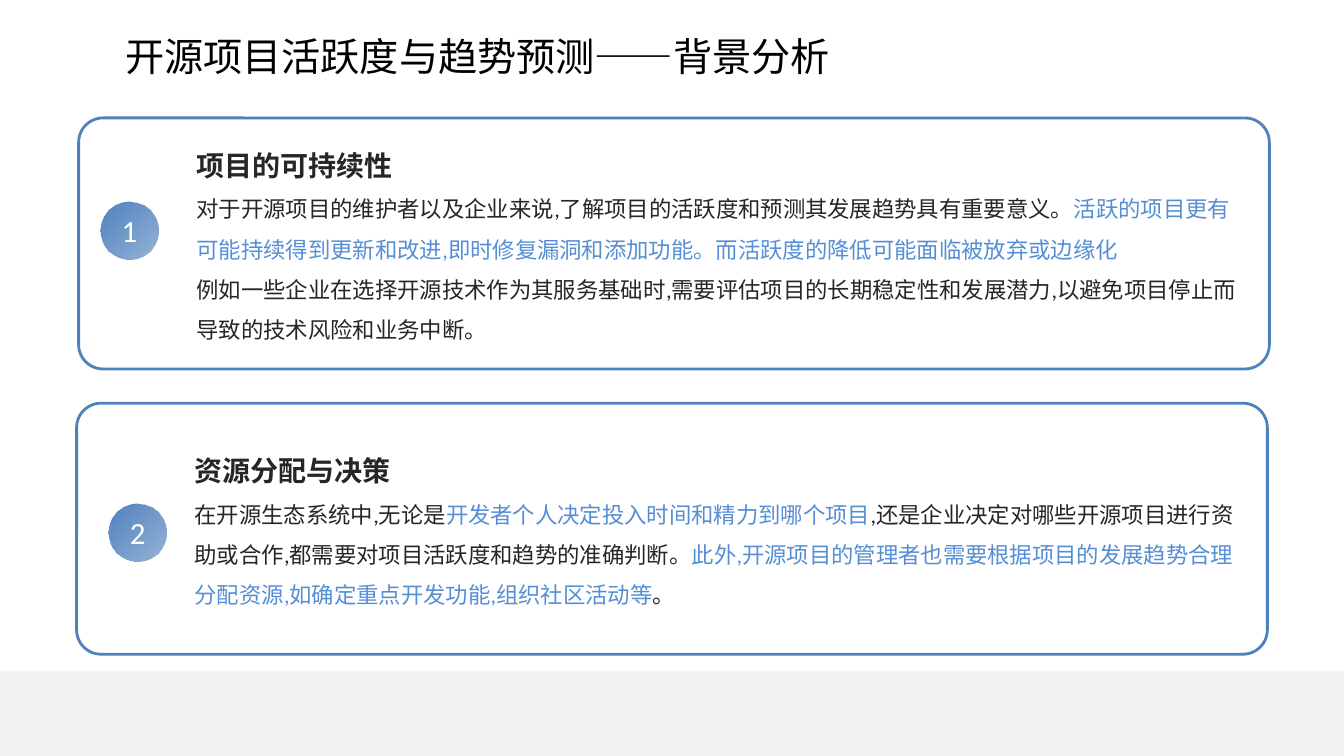
from dataclasses import dataclass

from lxml import etree
from pptx import Presentation
from pptx.dml.color import RGBColor
from pptx.enum.shapes import MSO_SHAPE
from pptx.enum.text import MSO_ANCHOR, MSO_AUTO_SIZE, PP_ALIGN
from pptx.oxml.ns import qn
from pptx.util import Pt

RECT, ROUND, OVAL = MSO_SHAPE.RECTANGLE, MSO_SHAPE.ROUNDED_RECTANGLE, MSO_SHAPE.OVAL
LEFT, CENTER, MIDDLE = PP_ALIGN.LEFT, PP_ALIGN.CENTER, MSO_ANCHOR.MIDDLE
FIXED = MSO_AUTO_SIZE.NONE
SCALE = 9144  # EMU per px, 100 px to the inch


@dataclass(frozen=True)
class Theme:
    white: str = "FFFFFF"
    black: str = "000000"
    ink: str = "262626"
    blue: str = "4F81BD"
    light: str = "558ED5"
    gray: str = "F1F1F1"
    latin: str = "Calibri"
    asian: str = "Noto Sans CJK SC"
    title: int = 28
    head: int = 20
    body: int = 16
    badge: int = 22
    line: int = 2


def px(*vals):
    return [val * SCALE for val in vals]


def fade(shape, pct):
    """Make the last colour of the shape partly see-through."""
    color = list(shape._element.spPr.iter(qn("a:srgbClr")))[-1]
    etree.SubElement(color, qn("a:alpha"), val=str(pct * 1000))


class Deck:
    def __init__(self, theme, width, height):
        self.theme = theme
        self.prs = Presentation()
        self.prs.slide_width, self.prs.slide_height = px(width, height)
        self.slide = self.prs.slides.add_slide(self.prs.slide_layouts[5])

    def shape(self, kind, box):
        shape = self.slide.shapes.add_shape(kind, *px(*box))
        shape.shadow.inherit = False
        shape.line.fill.background()
        return shape

    def frame(self, shape, wrap=True, pad=(10, 5, 10, 5)):
        frame = shape.text_frame
        frame.word_wrap, frame.auto_size = wrap, FIXED
        frame.vertical_anchor = MIDDLE
        (frame.margin_left, frame.margin_top,
         frame.margin_right, frame.margin_bottom) = px(*pad)
        return frame

    def run(self, para, text, size, color, bold=False, face=None):
        run = para.add_run()
        run.text = text
        font = run.font
        font.size, font.bold = Pt(size), bold
        font.name = face or self.theme.latin
        font.color.rgb = RGBColor.from_string(color)
        asian = etree.Element(qn("a:ea"), typeface=self.theme.asian)
        font._element.find(qn("a:latin")).addnext(asian)

    def title(self, text, box):
        shape = self.slide.shapes.title
        shape.left, shape.top, shape.width, shape.height = px(*box)
        para = self.frame(shape, pad=(0, 0, 0, 0)).paragraphs[0]
        para.alignment = LEFT
        self.run(para, text, self.theme.title, self.theme.black,
                 face=self.theme.asian)

    def band(self, box):
        fill = self.shape(RECT, box).fill
        fill.solid()
        fill.fore_color.rgb = RGBColor.from_string(self.theme.gray)

    def card(self, box, head, paras):
        theme = self.theme
        shape = self.shape(ROUND, box)
        shape.adjustments[0] = 0.097
        shape.fill.solid()
        shape.fill.fore_color.rgb = RGBColor.from_string(theme.white)
        fade(shape, 10)
        shape.line.color.rgb = RGBColor.from_string(theme.blue)
        shape.line.width = Pt(theme.line)
        frame = self.frame(shape, pad=(110, 0, 20, 12))
        para = frame.paragraphs[0]
        self.run(para, head, theme.head, theme.ink, bold=True)
        for runs in paras:
            para = frame.add_paragraph()
            # Plain and highlighted runs take turns
            for turn, text in enumerate(runs):
                color = theme.light if turn % 2 else theme.ink
                self.run(para, text, theme.body, color)
        for para in frame.paragraphs:
            para.alignment, para.line_spacing = LEFT, 1.5

    def badge(self, text, left, top, size=57):
        theme = self.theme
        shape = self.shape(OVAL, (left, top, size, size))
        shape.fill.gradient()
        shape.fill.gradient_angle = 315
        for stop, place in zip(shape.fill.gradient_stops, (0, 1)):
            stop.position = place
            stop.color.rgb = RGBColor.from_string(theme.blue)
        fade(shape, 59)
        para = self.frame(shape, wrap=False).paragraphs[0]
        para.alignment = CENTER
        self.run(para, text, theme.badge, theme.white)


# Each topic: card left, badge left, heading, paragraphs
TOPICS = [
    (78, 100, "项目的可持续性", [
        ["对于开源项目的维护者以及企业来说,了解项目的活跃度和预测其发展趋势具有重要意义。",
         "活跃的项目更有可能持续得到更新和改进,即时修复漏洞和添加功能。而活跃度的降低可能面临被放弃或边缘化"],
        ["例如一些企业在选择开源技术作为其服务基础时,需要评估项目的长期稳定性和发展潜力,"
         "以避免项目停止而导致的技术风险和业务中断。"],
    ]),
    (76, 108, "资源分配与决策", [
        ["在开源生态系统中,无论是",
         "开发者个人决定投入时间和精力到哪个项目",
         ",还是企业决定对哪些开源项目进行资助或合作,都需要对项目活跃度和趋势的准确判断。",
         "此外,开源项目的管理者也需要根据项目的发展趋势合理分配资源,如确定重点开发功能,组织社区活动等",
         "。"],
    ]),
]


def main():
    deck = Deck(Theme(), 1333, 750)

    # Footer band and title
    deck.band((0, 666, 1333, 84))
    deck.title("开源项目活跃度与趋势预测——背景分析", (124, 31, 702, 49))

    # Numbered cards
    for row, (left, dot, head, paras) in enumerate(TOPICS):
        deck.card((left, 117 + 283 * row, 1181, 249), head, paras)
        deck.badge(str(row + 1), dot, 200 + 300 * row)

    deck.prs.save("out.pptx")


if __name__ == "__main__":
    main()
